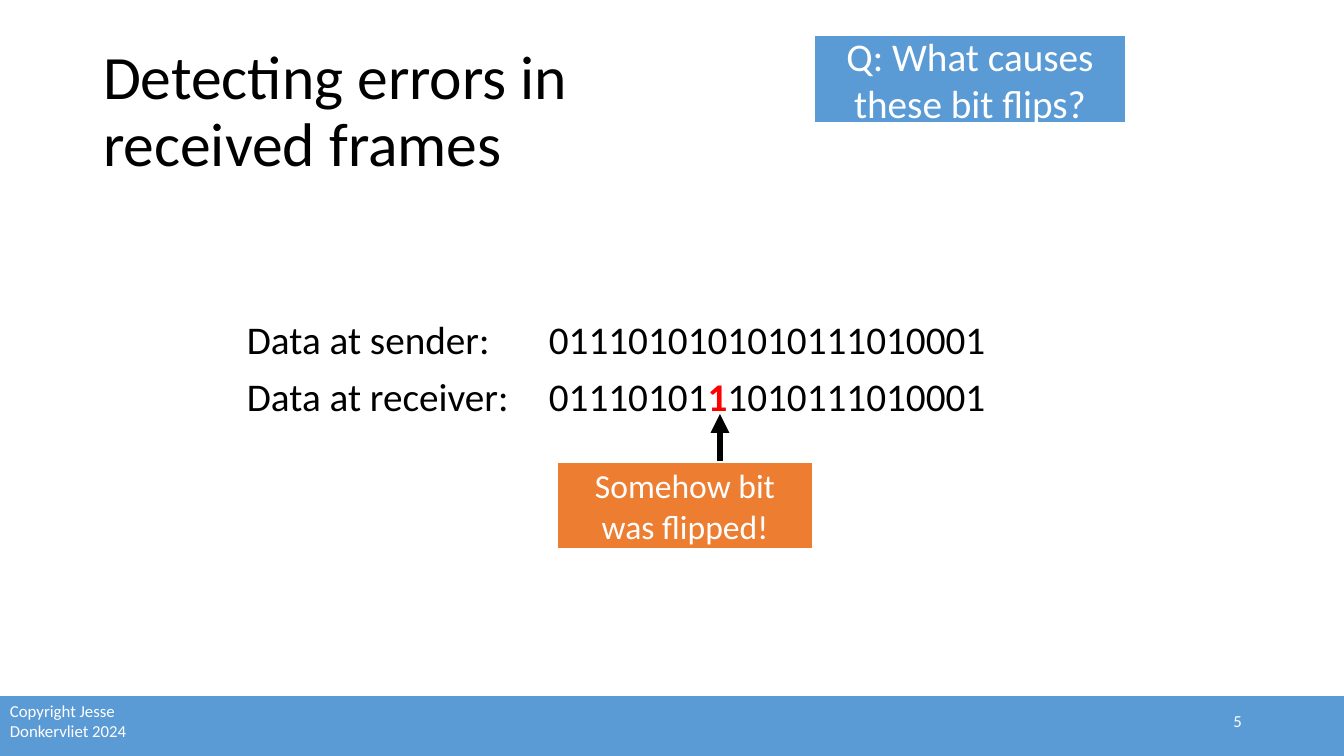
from lxml import etree
from pptx import Presentation
from pptx import util as u
from pptx.dml.color import RGBColor
from pptx.enum import shapes, text
from pptx.oxml.ns import qn

PX = 914400 / 100.8
BLUE, ORANGE, RED, BLACK, WHITE = "5B9BD5", "ED7D31", "FF0000", "000000", "FFFFFF"
LEFT, CENTER, RIGHT = text.PP_ALIGN.LEFT, text.PP_ALIGN.CENTER, text.PP_ALIGN.RIGHT


def px(*lengths):
    return [u.Emu(round(length * PX)) for length in lengths]


def color(value):
    return RGBColor.from_string(value)


class SlideBuilder:
    """Holds the style and the current slide, and adds its elements."""

    def __init__(self, deck, font="Calibri"):
        self.font = font
        self.slide = deck.slides.add_slide(deck.slide_layouts[5])

    def style(self, paragraph, size, ink, align):
        paragraph.alignment = align
        paragraph.font.name = self.font
        paragraph.font.size = u.Pt(size)
        paragraph.font.color.rgb = color(ink)

    def frame(self, shape, anchor=text.MSO_ANCHOR.MIDDLE):
        frame = shape.text_frame
        frame.word_wrap = True
        frame.auto_size = text.MSO_AUTO_SIZE.NONE
        frame.vertical_anchor = anchor
        return frame

    def title(self, box, words, size):
        title = self.slide.shapes.title
        title.left, title.top, title.width, title.height = px(*box)
        heading = self.frame(title).paragraphs[0]
        heading.text = words
        heading.line_spacing = 0.9
        self.style(heading, size, BLACK, LEFT)

    def block(self, box, fill, border, words="", size=12):
        block = self.slide.shapes.add_shape(shapes.MSO_SHAPE.RECTANGLE, *px(*box))
        block.shadow.inherit = False
        block.fill.solid()
        block.fill.fore_color.rgb = color(fill)
        block.line.color.rgb = color(WHITE)
        block.line.width = u.Pt(border)
        if words:
            caption = self.frame(block).paragraphs[0]
            caption.text = words
            self.style(caption, size, WHITE, CENTER)

    def label(self, box, words, align):
        label = self.slide.shapes.add_textbox(*px(*box))
        line = self.frame(label).paragraphs[0]
        line.text = words
        self.style(line, 12, WHITE, align)

    def bit_rows(self, box, rows, size, tab):
        listing = self.slide.shapes.add_textbox(*px(*box))
        frame = self.frame(listing, text.MSO_ANCHOR.TOP)
        for index, (name, before, flipped, after) in enumerate(rows):
            row = frame.add_paragraph() if index else frame.paragraphs[0]
            row.line_spacing = 0.9
            row.space_before = u.Pt(10 if index else 0)
            tabs = etree.SubElement(row._p.get_or_add_pPr(), qn("a:tabLst"))
            etree.SubElement(tabs, qn("a:tab"), pos=str(px(tab)[0]), algn="l")
            self.style(row, size, BLACK, LEFT)
            row.add_run().text = f"{name}\t{before}"
            if flipped:
                bit = row.add_run()
                bit.text = flipped
                bit.font.bold = True
                bit.font.color.rgb = color(RED)
                row.add_run().text = after

    def arrow(self, start, end, width):
        arrow = self.slide.shapes.add_connector(
            shapes.MSO_CONNECTOR.STRAIGHT, *px(*start, *end))
        arrow.line.color.rgb = color(BLACK)
        arrow.line.width = u.Pt(width)
        etree.SubElement(arrow.line._get_or_add_ln(), qn("a:tailEnd"), type="triangle")
        etree.SubElement(arrow._element.spPr, qn("a:effectLst"))


def main():
    deck = Presentation()
    deck.slide_width, deck.slide_height = px(1344, 756)
    page = SlideBuilder(deck)
    page.block((-31, 695, 1406, 82), BLUE, 1.5)
    page.label((0, 696, 148, 50), "Copyright Jesse Donkervliet 2024", LEFT)
    page.title((93, 40, 1159, 146), "Detecting errors in\vreceived frames", 44)
    page.bit_rows((237, 316, 869, 116), [
        ("Data at sender:", "0111010101010111010001", "", ""),
        ("Data at receiver:", "01110101", "1", "1010111010001"),
    ], size=28, tab=302)
    page.label((950, 701, 302, 40), "5", RIGHT)
    page.block((556, 461, 258, 89), ORANGE, 3, "Somehow bit was flipped!", 24)
    page.arrow((720, 461), (720, 414), 4.5)
    page.block((814, 35, 312, 88), BLUE, 1.5, "Q: What causes these bit flips?", 28)
    deck.save("out.pptx")


if __name__ == "__main__":
    main()
